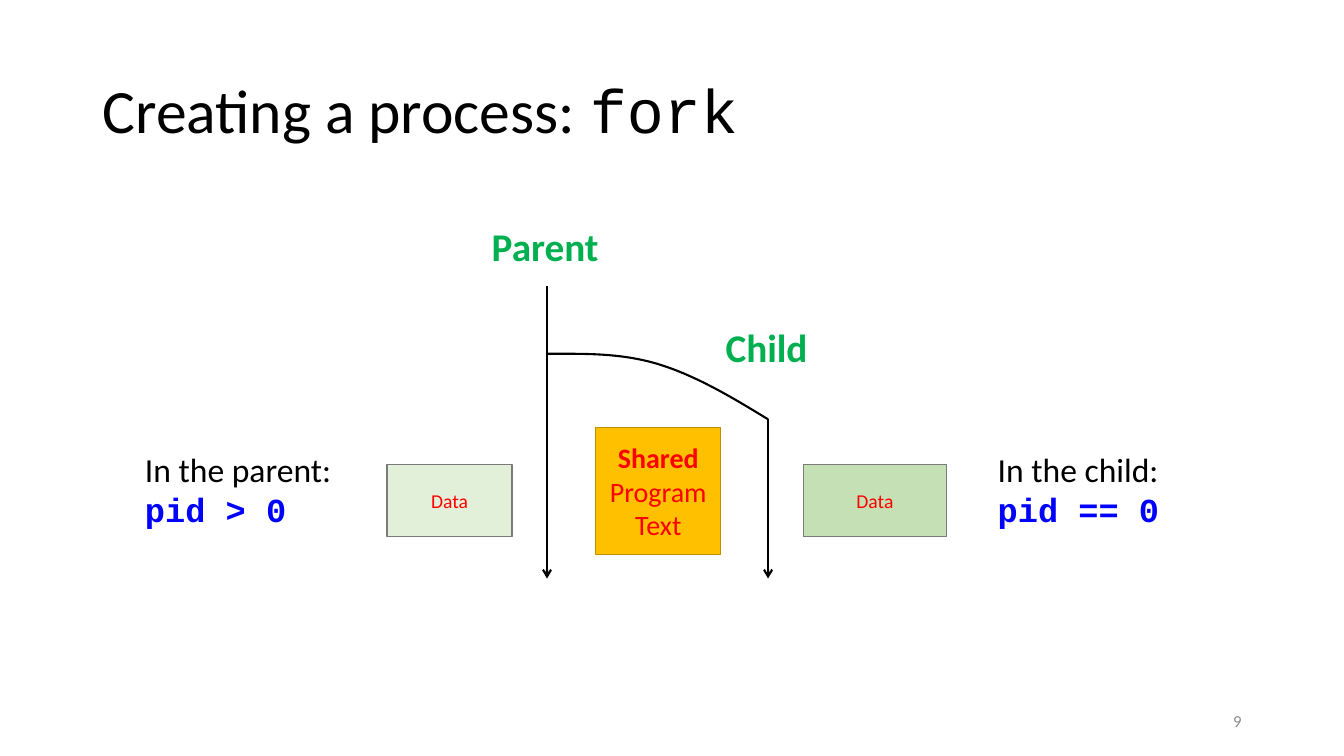
from lxml import etree
from pptx import Presentation
from pptx.dml.color import RGBColor
from pptx.enum.shapes import MSO_CONNECTOR, MSO_SHAPE
from pptx.enum.text import MSO_ANCHOR, MSO_AUTO_SIZE, PP_ALIGN
from pptx.oxml.ns import qn
from pptx.util import Inches, Pt

LINE, RECT = MSO_CONNECTOR.STRAIGHT, MSO_SHAPE.RECTANGLE
LEFT, MID, RIGHT = PP_ALIGN.LEFT, PP_ALIGN.CENTER, PP_ALIGN.RIGHT
CENTER, TOP = MSO_ANCHOR.MIDDLE, MSO_ANCHOR.TOP
GROW = MSO_AUTO_SIZE.SHAPE_TO_FIT_TEXT
FIXED = MSO_AUTO_SIZE.NONE

BLACK = RGBColor(0x00, 0x00, 0x00)
GRAY = RGBColor(0x8C, 0x8C, 0x8C)
EDGE = RGBColor(0x7A, 0x7A, 0x7A)
GREEN = RGBColor(0x00, 0xB0, 0x50)
PALE = RGBColor(0xE2, 0xF0, 0xD9)
LIGHT = RGBColor(0xC5, 0xE0, 0xB4)
RED = RGBColor(0xFF, 0x00, 0x00)
BLUE = RGBColor(0x00, 0x00, 0xFF)
GOLD = RGBColor(0xFF, 0xC0, 0x00)
BROWN = RGBColor(0xBD, 0x8E, 0x00)
SANS, MONO = "Calibri", "Courier New"

deck = Presentation()
deck.slide_width, deck.slide_height = Inches(13.33), Inches(7.5)
slide = deck.slides.add_slide(deck.slide_layouts[5])
shapes = slide.shapes


def spot(*shares):
    """Turn percent shares (x, y, x, y ...) of the slide into lengths."""
    sides = deck.slide_width, deck.slide_height
    return [round(sides[i % 2] * share / 100) for i, share in enumerate(shares)]


def write(frame, size, lines, align=LEFT, anchor=TOP):
    """Fill a frame with lines, each a list of (text, font, color, bold)."""
    frame.vertical_anchor = anchor
    for i, line in enumerate(lines):
        para = frame.add_paragraph() if i else frame.paragraphs[0]
        para.alignment = align
        for text, face, color, bold in line:
            run = para.add_run()
            run.text = text
            run.font.name, run.font.size = face, Pt(size)
            run.font.color.rgb, run.font.bold = color, bold


# Title and page number
title = shapes.title
title.left, title.top, title.width, title.height = spot(6.88, 5.33, 86.25, 19.33)
title.text_frame.word_wrap = True
title.text_frame.auto_size = FIXED
write(title.text_frame, 44, [[("Creating a process: ", SANS, BLACK, False),
                              ("fork", MONO, BLACK, False)]], LEFT, CENTER)
title.text_frame.paragraphs[0].line_spacing = 0.9

page = shapes.add_textbox(*spot(70.63, 92.67, 22.5, 5.33)).text_frame
page.word_wrap = True
write(page, 12, [[("9", SANS, GRAY, False)]], RIGHT, CENTER)

# Time lines of the two processes
PARENT_X, CHILD_X = 40.7, 57.15
FORK_Y, CHILD_Y, END_Y = 46.8, 55.47, 76.53
for x, start in [(PARENT_X, 37.87), (CHILD_X, CHILD_Y)]:
    arrow = shapes.add_connector(LINE, *spot(x, start, x, END_Y))
    arrow.line.color.rgb, arrow.line.width = BLACK, Pt(1.5)
    etree.SubElement(arrow.line._get_or_add_ln(), qn("a:tailEnd"), type="arrow")
    etree.SubElement(arrow._element.spPr, qn("a:effectLst"))

# Branch from parent to child: two cubic curves, sampled
STEPS = 24
knots = [(PARENT_X, FORK_Y), (43.43, 46.8), (46.13, 46.67), (48.9, 48.13),
         (51.68, 49.6), (54.45, 52.53), (CHILD_X, CHILD_Y)]
points = []
for first in (0, 3):
    a, b, c, d = knots[first:first + 4]
    for step in range(1, STEPS + 1):
        t = step / STEPS
        u = 1 - t
        points.append(spot(*(u**3 * a[k] + 3 * u * u * t * b[k]
                             + 3 * u * t * t * c[k] + t**3 * d[k]
                             for k in (0, 1))))
path = shapes.build_freeform(*spot(*knots[0]))
path.add_line_segments(points, close=False)
branch = path.convert_to_shape()
branch.shadow.inherit = False
branch.fill.background()
branch.line.color.rgb, branch.line.width = BLACK, Pt(1.5)

# Memory blocks
data = [[("Data", SANS, RED, False)]]
shared = [[("Shared", SANS, RED, True)], [("Program", SANS, RED, False)],
          [("Text", SANS, RED, False)]]
for place, fill, edge, size, lines in [
    ((28.8, 61.47, 9.3, 9.47), PALE, EDGE, 14, data),
    ((59.78, 61.47, 10.65, 9.47), LIGHT, EDGE, 14, data),
    ((44.33, 56.53, 9.3, 16.8), GOLD, BROWN, 20, shared),
]:
    block = shapes.add_shape(RECT, *spot(*place))
    block.shadow.inherit = False
    block.fill.solid()
    block.fill.fore_color.rgb = fill
    block.line.color.rgb, block.line.width = edge, Pt(1)
    write(block.text_frame, size, lines, MID, CENTER)

# Names and return values
for place, size, lines in [
    ((35.85, 28.8, 9.53, 7.6), 28, [[("Parent", SANS, GREEN, True)]]),
    ((53.25, 42.13, 7.65, 7.6), 28, [[("Child", SANS, GREEN, True)]]),
    ((73.5, 58.67, 13.58, 12.13), 24, [[("In the child:", SANS, BLACK, False)],
                                       [("pid == 0", MONO, BLUE, True)]]),
    ((10.05, 58.67, 15.53, 12.13), 24, [[("In the parent:", SANS, BLACK, False)],
                                        [("pid > 0", MONO, BLUE, True)]]),
]:
    label = shapes.add_textbox(*spot(*place)).text_frame
    label.word_wrap, label.auto_size = False, GROW
    write(label, size, lines)

deck.save("out.pptx")
